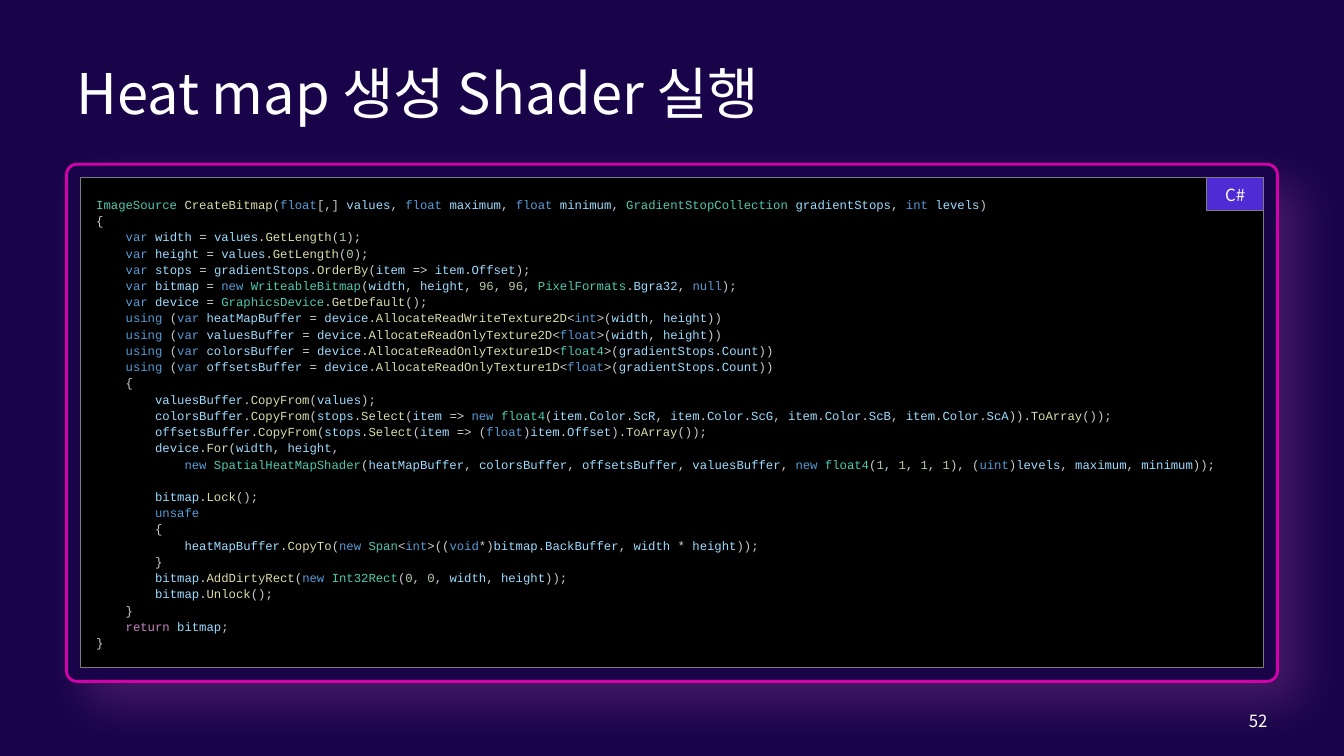
from lxml import etree
from pptx import Presentation
from pptx.dml.color import RGBColor
from pptx.enum.shapes import MSO_SHAPE
from pptx.enum.text import MSO_ANCHOR, PP_ALIGN
from pptx.oxml.ns import qn
from pptx.util import Inches, Pt

RECTANGLE, ROUNDED = MSO_SHAPE.RECTANGLE, MSO_SHAPE.ROUNDED_RECTANGLE
MIDDLE = MSO_ANCHOR.MIDDLE
LEFT, CENTER, RIGHT = PP_ALIGN.LEFT, PP_ALIGN.CENTER, PP_ALIGN.RIGHT

NAVY = RGBColor(0x19, 0x04, 0x49)
MAGENTA = RGBColor(0xD6, 0x00, 0xAA)
PURPLE = RGBColor(0x4F, 0x2B, 0xD3)
GRAY = RGBColor(0x7D, 0x7D, 0x7D)
BLACK = RGBColor(0, 0, 0)
WHITE = RGBColor(0xFF, 0xFF, 0xFF)
GLOW = RGBColor(0xE5, 0x66, 0xCC)

TYPE_COLOR = RGBColor(0x4E, 0xC9, 0xB0)
METHOD_COLOR = RGBColor(0xDC, 0xDC, 0xAA)
KEYWORD_COLOR = RGBColor(0x56, 0x9C, 0xD6)
CONTROL_COLOR = RGBColor(0xC5, 0x86, 0xC0)
NAME_COLOR = RGBColor(0x9C, 0xDC, 0xFE)
NUMBER_COLOR = RGBColor(0xB5, 0xCE, 0xA8)
OPERATOR_COLOR = RGBColor(0xD4, 0xD4, 0xD4)
PUNCTUATION_COLOR = RGBColor(0xCC, 0xCC, 0xCC)

TEXT_FONT = "Noto Sans CJK KR"
CODE_FONT = "Courier New"
CODE_SIZE = Pt(8.8)

KEYWORDS = set("float int uint void var new null using unsafe".split())
TYPES = set("""ImageSource GradientStopCollection WriteableBitmap PixelFormats
    GraphicsDevice float4 SpatialHeatMapShader Span Int32Rect""".split())

CODE_LINES = [
    "ImageSource CreateBitmap(float[,] values, float maximum, float minimum, GradientStopCollection gradientStops, int levels)",
    "{",
    "    var width = values.GetLength(1);",
    "    var height = values.GetLength(0);",
    "    var stops = gradientStops.OrderBy(item => item.Offset);",
    "    var bitmap = new WriteableBitmap(width, height, 96, 96, PixelFormats.Bgra32, null);",
    "    var device = GraphicsDevice.GetDefault();",
    "    using (var heatMapBuffer = device.AllocateReadWriteTexture2D<int>(width, height))",
    "    using (var valuesBuffer = device.AllocateReadOnlyTexture2D<float>(width, height))",
    "    using (var colorsBuffer = device.AllocateReadOnlyTexture1D<float4>(gradientStops.Count))",
    "    using (var offsetsBuffer = device.AllocateReadOnlyTexture1D<float>(gradientStops.Count))",
    "    {",
    "        valuesBuffer.CopyFrom(values);",
    "        colorsBuffer.CopyFrom(stops.Select(item => new float4(item.Color.ScR, item.Color.ScG, item.Color.ScB, item.Color.ScA)).ToArray());",
    "        offsetsBuffer.CopyFrom(stops.Select(item => (float)item.Offset).ToArray());",
    "        device.For(width, height,",
    "            new SpatialHeatMapShader(heatMapBuffer, colorsBuffer, offsetsBuffer, valuesBuffer, new float4(1, 1, 1, 1), (uint)levels, maximum, minimum));",
    "",
    "        bitmap.Lock();",
    "        unsafe",
    "        {",
    "            heatMapBuffer.CopyTo(new Span<int>((void*)bitmap.BackBuffer, width * height));",
    "        }",
    "        bitmap.AddDirtyRect(new Int32Rect(0, 0, width, height));",
    "        bitmap.Unlock();",
    "    }",
    "    return bitmap;",
    "}",
]


def character_kind(character, previous):
    if character.isalnum():
        return "word"
    if character in ".=*" or previous + character == "=>":
        return "operator"
    return "punctuation"


def tokens(line):
    """Split a line into (text, kind); a space stays with the token before it."""
    found = []
    previous = ""
    for character in line:
        kind = character_kind(character, previous)
        text, last_kind = found[-1] if found else ("", "")
        new_word = kind == "word" and previous == " "
        if found and (character == " " or kind == last_kind and not new_word):
            found[-1] = (text + character, last_kind)
        else:
            found.append((character, kind))
        previous = character
    return found


def token_color(text, kind, following):
    word = text.strip()
    if kind == "punctuation":
        return PUNCTUATION_COLOR
    if kind == "operator":
        return OPERATOR_COLOR
    if word.isdigit():
        return NUMBER_COLOR
    if word == "return":
        return CONTROL_COLOR
    if word in KEYWORDS:
        return KEYWORD_COLOR
    if word in TYPES:
        return TYPE_COLOR
    return METHOD_COLOR if following[:1] in ("(", "<") else NAME_COLOR


def add_run(paragraph, text, font_name, size, color):
    run = paragraph.add_run()
    run.text = text
    run.font.name, run.font.size = font_name, size
    run.font.color.rgb = color
    etree.SubElement(run._r.get_or_add_rPr(), qn("a:ea"), typeface=font_name)


def add_label(frame, text, size, align):
    frame.word_wrap = True
    frame.vertical_anchor = MIDDLE
    paragraph = frame.paragraphs[0]
    paragraph.alignment = align
    add_run(paragraph, text, TEXT_FONT, size, WHITE)
    return paragraph


def add_panel(slide, preset, box, fill, line, line_width):
    panel = slide.shapes.add_shape(preset, *box)
    panel.shadow.inherit = False
    panel.fill.solid()
    panel.fill.fore_color.rgb = fill
    panel.line.color.rgb = line
    panel.line.width = line_width
    return panel


def set_margins(frame, horizontal, vertical):
    frame.margin_left = frame.margin_right = horizontal
    frame.margin_top = frame.margin_bottom = vertical


def add_glow(panel):
    """Cast a soft pink shadow down and to the right."""
    effects = panel._element.spPr.find(qn("a:effectLst"))
    shadow = etree.SubElement(effects, qn("a:outerShdw"), blurRad=str(Pt(32)),
                              dist=str(Pt(21)), dir=str(45 * 60000),
                              algn="tl", rotWithShape="0")
    color = etree.SubElement(shadow, qn("a:srgbClr"), val=str(GLOW))
    etree.SubElement(color, qn("a:alpha"), val="22000")


def add_title(slide, box, text):
    title = slide.shapes.title
    title.left, title.top, title.width, title.height = box
    add_label(title.text_frame, text, Pt(40), LEFT)


def add_code(frame, lines):
    frame.word_wrap = True
    frame.vertical_anchor = MIDDLE
    set_margins(frame, Inches(0.16), Inches(0.12))
    for number, line in enumerate(lines):
        paragraph = frame.add_paragraph() if number else frame.paragraphs[0]
        paragraph.alignment = LEFT
        paragraph.line_spacing = 1.1
        parts = tokens(line)
        followers = [text for text, _ in parts[1:]] + [""]
        for (text, kind), following in zip(parts, followers):
            add_run(paragraph, text, CODE_FONT, CODE_SIZE, token_color(text, kind, following))
        if not parts:
            end = etree.SubElement(paragraph._p, qn("a:endParaRPr"), sz="880")
            etree.SubElement(end, qn("a:latin"), typeface=CODE_FONT)


def add_code_window(slide, box, language, lines):
    left, top, width, height = box
    inset = Inches(0.135)
    frame = add_panel(slide, ROUNDED, box, NAVY, MAGENTA, Pt(2))
    frame.adjustments[0] = 0.02
    add_glow(frame)

    editor_box = (left + inset, top + inset, width - 2 * inset, height - 2 * inset)
    editor = add_panel(slide, RECTANGLE, editor_box, BLACK, GRAY, Pt(0.75))
    add_code(editor.text_frame, lines)

    tag_width = Inches(0.57)
    tag_box = (left + width - inset - tag_width, top + inset, tag_width, Inches(0.32))
    tag = add_panel(slide, RECTANGLE, tag_box, PURPLE, GRAY, Pt(0.75))
    set_margins(tag.text_frame, 0, 0)
    add_label(tag.text_frame, language, Pt(12), CENTER).line_spacing = 1.1


def main():
    deck = Presentation()
    deck.slide_width, deck.slide_height = Inches(13.33), Inches(7.5)
    slide = deck.slides.add_slide(deck.slide_layouts[5])
    slide.background.fill.solid()
    slide.background.fill.fore_color.rgb = NAVY
    left, width, number_width = Inches(0.66), Inches(12.01), Inches(1.56)
    add_title(slide, (left, Inches(0.4), width, Inches(1.03)), "Heat map 생성 Shader 실행")
    add_code_window(slide, (left, Inches(1.63), width, Inches(5.13)), "C#", CODE_LINES)
    page_number = slide.shapes.add_textbox(left + width - number_width, Inches(6.95),
                                           number_width, Inches(0.4))
    add_label(page_number.text_frame, "52", Pt(12), RIGHT)
    deck.save("out.pptx")


if __name__ == "__main__":
    main()
